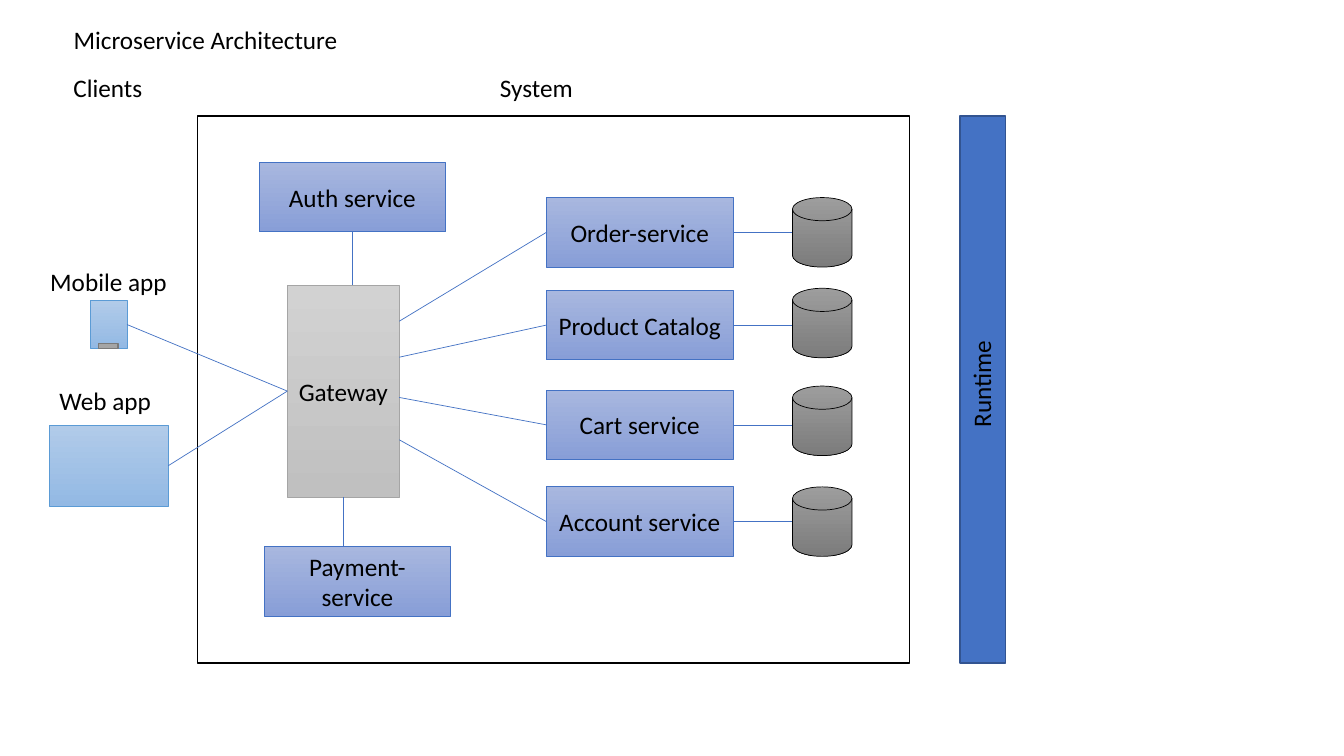
from dataclasses import dataclass

from lxml.etree import SubElement
from pptx import Presentation
from pptx.dml.color import RGBColor
from pptx.enum.shapes import MSO_CONNECTOR, MSO_SHAPE
from pptx.enum.text import MSO_ANCHOR, MSO_AUTO_SIZE, PP_ALIGN
from pptx.oxml.ns import qn
from pptx.util import Inches, Pt

# Colours: (gradient top, gradient bottom) or one solid colour
BLUE, BLACK = "4472C4", "000000"
SERVICE_FILL = ("A8B7DF", "889ED7")
GATEWAY_FILL = ("D2D2D2", "C0C0C0")
CLIENT_FILL = ("B1CBE9", "93B9E4")
STORE_FILL = ("9D9D9D", "7C7C7C")

# Grid: ten columns and ten rows to the inch
CELL = Inches(0.1)
LABEL_HEIGHT = 4
SERVICE_SIZE = (18.5, 6.9)
STORE_SIZE = (5.9, 6.9)


@dataclass
class Box:
    """An area of the slide, in grid cells."""
    left: float
    top: float
    width: float
    height: float

    def inner(self, left, top, width, height):
        return Box(self.left + left, self.top + top, width, height)

    def point(self, across, down):
        return self.left + across * self.width, self.top + down * self.height

    def lengths(self):
        return [round(n * CELL) for n in (self.left, self.top, self.width, self.height)]


def colour(hex_text):
    return RGBColor.from_string(hex_text)


def write(frame, text, align=PP_ALIGN.LEFT):
    frame.text = text
    para = frame.paragraphs[0]
    para.alignment = align
    para.font.name = "Calibri"
    para.font.size = Pt(18)
    para.font.color.rgb = colour(BLACK)
    return para


def add_label(page, box, text):
    label = page.shapes.add_textbox(*box.lengths())
    label.text_frame.word_wrap = True
    write(label.text_frame, text)
    return label


def add_block(page, box, fill, line, weight=0.5, text="", kind=MSO_SHAPE.RECTANGLE):
    block = page.shapes.add_shape(kind, *box.lengths())
    block.shadow.inherit = False
    if isinstance(fill, tuple):
        block.fill.gradient()
        block.fill.gradient_angle = 270
        for stop, shade in zip(block.fill.gradient_stops, fill):
            stop.color.rgb = colour(shade)
    else:
        block.fill.solid()
        block.fill.fore_color.rgb = colour(fill)
    block.line.color.rgb = colour(line)
    block.line.width = Pt(weight)
    if text:
        block.text_frame.vertical_anchor = MSO_ANCHOR.MIDDLE
        write(block.text_frame, text, PP_ALIGN.CENTER)
    return block


def add_link(page, start, end):
    ends = [round(n * CELL) for n in (*start, *end)]
    link = page.shapes.add_connector(MSO_CONNECTOR.STRAIGHT, *ends)
    link.line.color.rgb = colour(BLUE)
    link.line.width = Pt(0.5)
    SubElement(link._element.spPr, qn("a:effectLst"))
    return link


def add_title(page, box, text):
    title = page.shapes.title
    title.left, title.top, title.width, title.height = box.lengths()
    title.text_frame.auto_size = MSO_AUTO_SIZE.NONE
    title.text_frame.vertical_anchor = MSO_ANCHOR.MIDDLE
    write(title.text_frame, text).line_spacing = 0.9


def add_service(page, box, text):
    return add_block(page, box, SERVICE_FILL, BLUE, text=text)


def add_system(page, box):
    """Draw the system and return its gateway shape."""
    add_block(page, box, "FFFFFF", BLACK, 1)
    add_label(page, box.inner(29, -4.8, 12.4, LABEL_HEIGHT), "System")

    # Gateway with the services above and below it
    gateway_box = box.inner(8.9, 16.8, 11.1, 21)
    gateway = add_block(page, gateway_box, GATEWAY_FILL, "A5A5A5", text="Gateway")
    auth_box = box.inner(6.1, 4.6, *SERVICE_SIZE)
    payment_box = box.inner(6.6, 42.7, *SERVICE_SIZE)
    add_service(page, auth_box, "Auth service")
    add_service(page, payment_box, "Payment-service")
    auth_foot = auth_box.point(0.5, 1)
    add_link(page, auth_foot, (auth_foot[0], gateway_box.top))
    gateway_foot = gateway_box.point(0.5, 1)
    add_link(page, gateway_foot, (gateway_foot[0], payment_box.top))

    # Services with their stores: name, service row, store row, gateway port
    rows = [
        ("Order-service", 8.1, 8.1, 0.17),
        ("Product Catalog", 17.3, 17.1, 0.34),
        ("Cart service", 27.2, 26.8, 0.53),
        ("Account service", 36.8, 36.8, 0.73),
    ]
    for name, service_row, store_row, port in rows:
        service_box = box.inner(34.6, service_row, *SERVICE_SIZE)
        store_box = box.inner(59, store_row, *STORE_SIZE)
        service = add_service(page, service_box, name)
        add_block(page, store_box, STORE_FILL, BLACK,
                  kind=MSO_SHAPE.FLOWCHART_MAGNETIC_DISK)
        entry, outlet = service_box.point(0, 0.5), service_box.point(1, 0.5)
        add_link(page, gateway_box.point(1, port), entry).end_connect(service, 1)
        add_link(page, outlet, (store_box.left, outlet[1])).begin_connect(service, 3)
    return gateway


def add_clients(page, box, gateway):
    add_label(page, box.inner(2.3, 0, 9, LABEL_HEIGHT), "Clients")
    add_label(page, box.inner(0, 19.2, 14.3, LABEL_HEIGHT), "Mobile app")
    add_label(page, box.inner(0.9, 31, 11.8, LABEL_HEIGHT), "Web app")

    # Devices, each joined to the gateway
    mobile_box = box.inner(5, 23.1, 3.6, 4.8)
    web_box = box.inner(0.9, 35.5, 11.8, 8)
    for device_box in (mobile_box, web_box):
        device = add_block(page, device_box, CLIENT_FILL, "5B9BD5")
        link = add_link(page, device_box.point(1, 0.5), device_box.point(1, 0.5))
        link.begin_connect(device, 3)
        link.end_connect(gateway, 1)

    # Home button of the mobile
    add_block(page, mobile_box.inner(0.8, 4.3, 1.9, 0.5), "A5A5A5", "7A7A7A", 1)


def add_runtime(page, box):
    add_block(page, box, BLUE, "325491", 1)
    label_box = box.inner(-3.5, 24.3, 11.2, LABEL_HEIGHT)
    add_label(page, label_box, "Runtime").rotation = 270


deck = Presentation()
deck.slide_width, deck.slide_height = Inches(13.33), Inches(7.5)
page = deck.slides.add_slide(deck.slide_layouts[5])
add_title(page, Box(6.3, 2.1, 117.4, LABEL_HEIGHT), "Microservice Architecture")
gateway = add_system(page, Box(19.6, 11.5, 70.6, 54.3))
add_clients(page, Box(4, 6.7, 14.3, 43.5), gateway)
add_runtime(page, Box(95.2, 11.5, 4.5, 54.3))
deck.save("out.pptx")
